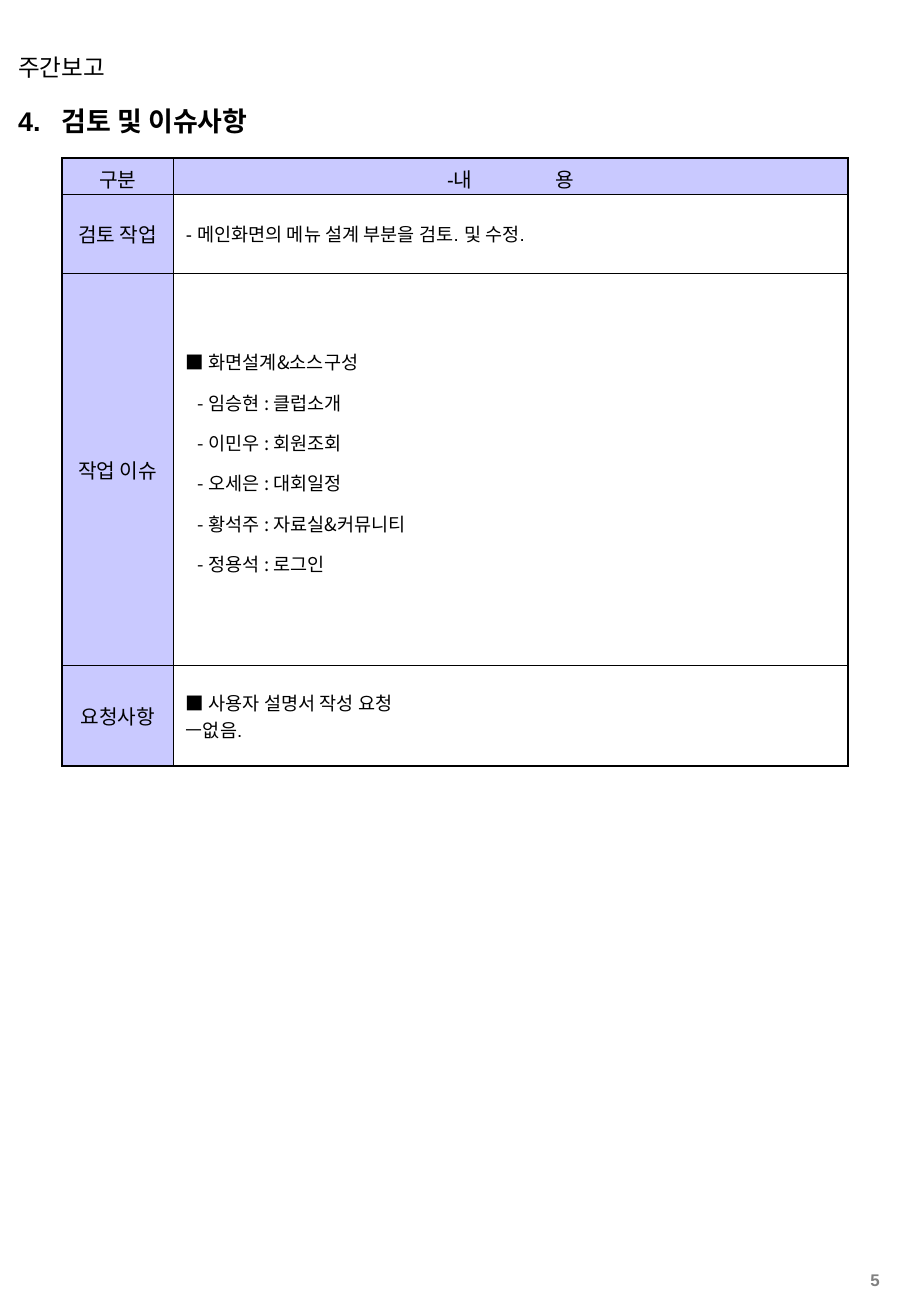
from lxml.etree import SubElement
from pptx import Presentation
from pptx.dml.color import RGBColor
from pptx.enum.text import MSO_ANCHOR, PP_ALIGN
from pptx.oxml.ns import qn
from pptx.util import Emu, Pt

PX = 9144  # 100 px to the inch
BLACK = RGBColor(0x00, 0x00, 0x00)
GRAY = RGBColor(0x80, 0x80, 0x80)
LAVENDER = RGBColor(0xC9, 0xC9, 0xFF)
ARIAL = "Arial"
NOTO = "Noto Sans CJK KR"
OUTER, INNER = 1.08, 0.45

COLUMNS = [92, 555]
ROWS = [30, 65, 323, 83]
LABELS = ["구분", "검토 작업", "작업 이슈", "요청사항"]
REVIEW = "- 메인화면의 메뉴 설계 부분을 검토. 및 수정."
ISSUE_HEADING = "■ 화면설계&소스구성"
ASSIGNMENTS = [
    ("임승현", "클럽소개"),
    ("이민우", "회원조회"),
    ("오세은", "대회일정"),
    ("황석주", "자료실&커뮤니티"),
    ("정용석", "로그인"),
]


def px(value):
    return Emu(value * PX)


def add_text(para, text, size=11, font=ARIAL, color=BLACK, bold=False, tracking=None):
    span = para.add_run()
    span.text = text
    span.font.size = Pt(size)
    span.font.name = font
    span.font.bold = bold
    span.font.color.rgb = color
    properties = span.font._element
    SubElement(properties, qn("a:ea"), typeface=NOTO)
    if tracking:
        properties.set("spc", str(tracking))


def format_frame(frame, align=PP_ALIGN.LEFT):
    """Apply the common margins and anchor, and return the first paragraph."""
    frame.word_wrap = True
    frame.vertical_anchor = MSO_ANCHOR.MIDDLE
    frame.margin_left = frame.margin_right = px(10)
    frame.margin_top = frame.margin_bottom = px(5)
    para = frame.paragraphs[0]
    para.alignment = align
    return para


def add_label(page, box, text, align=PP_ALIGN.LEFT, **style):
    shape = page.shapes.add_textbox(*map(px, box))
    add_text(format_frame(shape.text_frame, align), text, **style)


def add_title(page, box):
    title = page.shapes.title
    title.left, title.top, title.width, title.height = map(px, box)
    para = format_frame(title.text_frame)
    tabs = SubElement(para._p.get_or_add_pPr(), qn("a:tabLst"))
    SubElement(tabs, qn("a:tab"), pos=str(px(36)), algn="l")
    add_text(para, "4.\t검토 및 이슈사항", size=16, bold=True)


def draw_borders(cell, row, column):
    """Rule the cell, with a heavier line on the outside of the table."""
    edges = {
        "a:lnL": column == 0,
        "a:lnR": column == len(COLUMNS) - 1,
        "a:lnT": row == 0,
        "a:lnB": row == len(ROWS) - 1,
    }
    properties = cell._tc.get_or_add_tcPr()
    for tag, outside in edges.items():
        line = SubElement(properties, qn(tag), w=str(Pt(OUTER if outside else INNER)))
        fill = SubElement(line, qn("a:solidFill"))
        SubElement(fill, qn("a:srgbClr"), val=str(BLACK))


def write_header(cell):
    para = cell.text_frame.paragraphs[0]
    para.alignment = PP_ALIGN.CENTER
    add_text(para, "-내", size=12)
    add_text(para, " ", size=12, tracking=4670)
    add_text(para, "용", size=12)


def write_review(cell):
    add_text(cell.text_frame.paragraphs[0], REVIEW)


def write_issues(cell):
    cell.margin_bottom = px(27)
    frame = cell.text_frame
    heading = frame.paragraphs[0]
    heading.line_spacing = 1.5
    add_text(heading, ISSUE_HEADING, font=NOTO)
    for name, task in ASSIGNMENTS:
        para = frame.add_paragraph()
        para.line_spacing = 1.5
        para._p.get_or_add_pPr().set("marL", str(px(10)))
        add_text(para, f"- {name} : {task}", font=NOTO)


def write_requests(cell):
    frame = cell.text_frame
    heading = frame.paragraphs[0]
    add_text(heading, "■ ", font=NOTO)
    add_text(heading, "사용자 설명서 작성 요청")
    add_text(frame.add_paragraph(), "ㅡ없음.")


def add_report_table(page, left, top):
    frame = page.shapes.add_table(
        len(ROWS), len(COLUMNS), px(left), px(top), px(sum(COLUMNS)), px(sum(ROWS))
    )
    table = frame.table
    table.first_row = table.horz_banding = False
    for column, width in zip(table.columns, COLUMNS):
        column.width = px(width)
    writers = [write_header, write_review, write_issues, write_requests]
    for row, (height, label, write) in enumerate(zip(ROWS, LABELS, writers)):
        table.rows[row].height = px(height)
        for column in range(len(COLUMNS)):
            cell = table.cell(row, column)
            cell.vertical_anchor = MSO_ANCHOR.MIDDLE
            cell.margin_left = cell.margin_right = px(10 if column else 2)
            cell.margin_top, cell.margin_bottom = (px(5), px(5)) if row else (px(4), px(0))
            draw_borders(cell, row, column)
            if row == 0 or column == 0:
                cell.fill.solid()
                cell.fill.fore_color.rgb = LAVENDER
            else:
                cell.fill.background()
        para = table.cell(row, 0).text_frame.paragraphs[0]
        para.alignment = PP_ALIGN.CENTER
        add_text(para, label, size=12)
        write(table.cell(row, 1))


def main():
    deck = Presentation()
    deck.slide_width, deck.slide_height = px(750), px(1084)
    page = deck.slides.add_slide(deck.slide_layouts[5])
    add_label(page, (5, 38, 595, 34), "주간보고", size=14)
    add_title(page, (5, 81, 536, 37))
    add_report_table(page, 51, 130)
    add_label(page, (678, 1042, 56, 24), "5", align=PP_ALIGN.RIGHT,
              size=10, color=GRAY, bold=True)
    deck.save("out.pptx")


if __name__ == "__main__":
    main()
